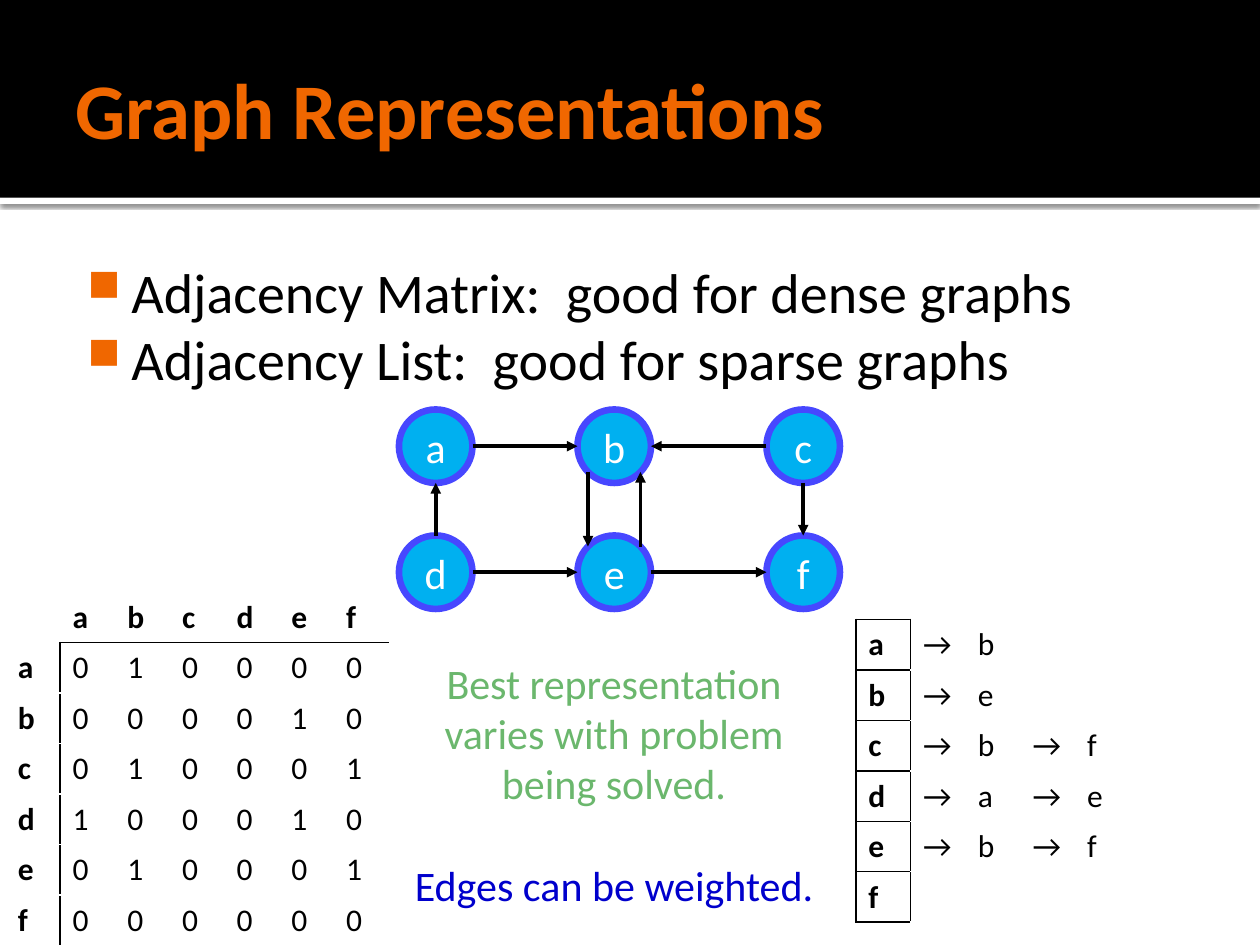
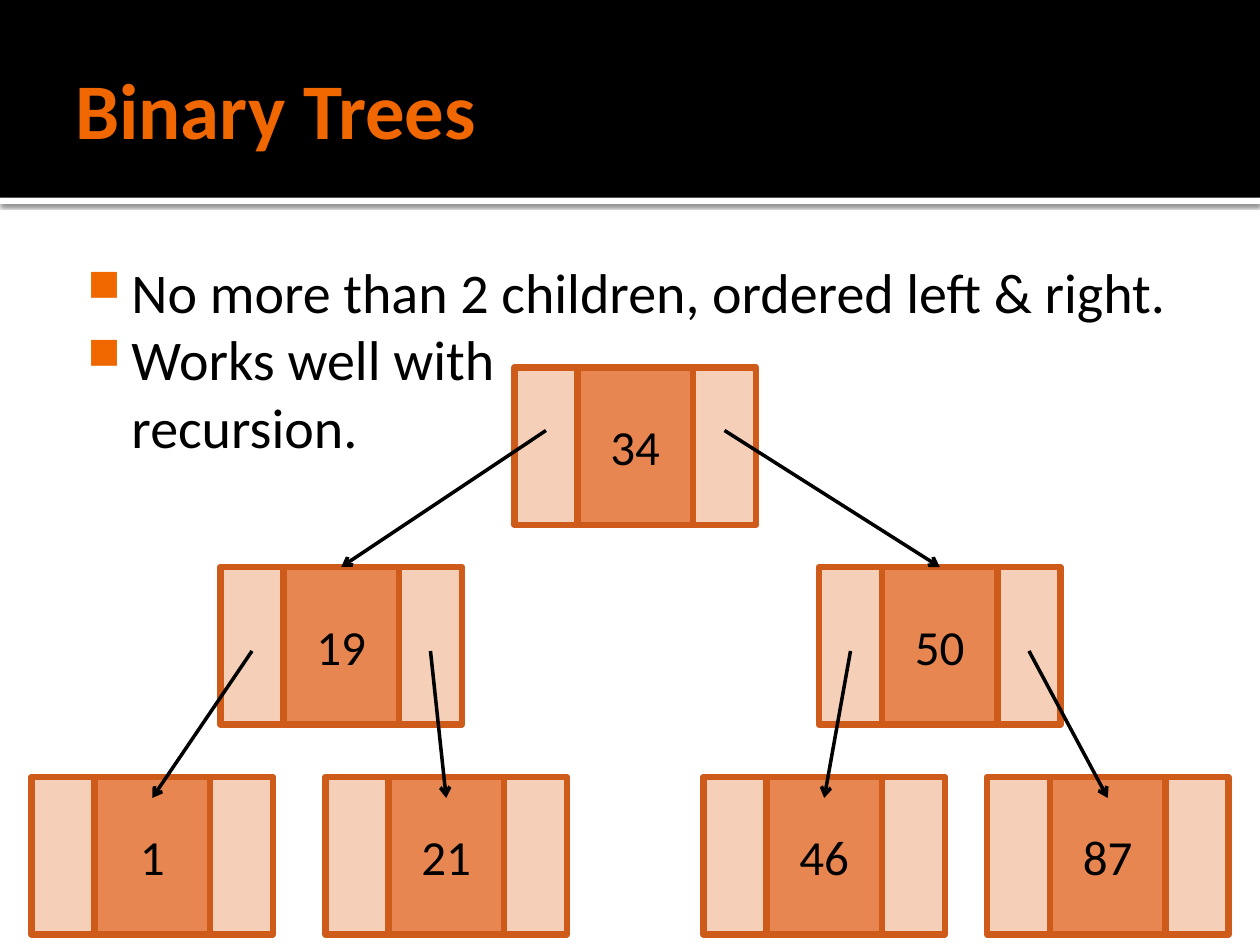
"""Build two slides on graph representations and binary trees."""
from dataclasses import dataclass
from math import sqrt
from typing import Callable

from lxml import etree
from pptx import Presentation
from pptx.dml.color import RGBColor
from pptx.enum.shapes import MSO_CONNECTOR, MSO_SHAPE
from pptx.enum.text import MSO_ANCHOR, PP_ALIGN
from pptx.oxml.ns import qn
from pptx.util import Pt

RECTANGLE, OVAL = MSO_SHAPE.RECTANGLE, MSO_SHAPE.OVAL
STRAIGHT = MSO_CONNECTOR.STRAIGHT
MIDDLE, CENTER = MSO_ANCHOR.MIDDLE, PP_ALIGN.CENTER

FONT = "Calibri"
BLACK, WHITE, ORANGE = "000000", "FFFFFF", "F06700"
SKY, INDIGO = "00B0F0", "4747FF"
GREEN, BLUE = "6BB76D", "0000CC"
TREE_LINE, TREE_VALUE, TREE_LINK = "CF5B1B", "E88651", "F6CFB9"
OUTLINE_WIDTH, ARROW_WIDTH = 3.78, 2

SLIDE_WIDTH, SLIDE_HEIGHT = 720, 540
BAND_HEIGHT, STRIP_HEIGHT = 113, 3.6
DIAMETER = 42
COLUMN_WIDTH, ROW_HEIGHT, COLUMN_COUNT = 31.28, 27.4, 7
VALUE_WIDTH, LINK_WIDTH, NODE_HEIGHT = 66, 36, 90
BORDER_TAGS = {"left": "lnL", "right": "lnR", "top": "lnT", "bottom": "lnB"}


@dataclass(frozen=True)
class Vertex:
    """A graph vertex, placed by its top left corner."""
    x: float
    y: float


@dataclass(frozen=True)
class Edge:
    """A directed edge, moved sideways by shift when it runs in a pair."""
    start: str
    end: str
    shift: float = 0


@dataclass(frozen=True)
class TreeNode:
    """A tree node, placed by the top left corner of its value cell."""
    value: str
    x: float
    y: float


@dataclass(frozen=True)
class Branch:
    """A parent with two children and the depths where its arrows start and end."""
    parent: str
    left: str
    right: str
    start_depth: float
    end_depth: float


VERTICES = {
    name: Vertex(x, y)
    for names, y in (("abc", 234), ("def", 306))
    for name, x in zip(names, (228, 330, 438))
}
EDGES = [
    Edge("a", "b"), Edge("c", "b"), Edge("d", "a"), Edge("c", "f"),
    Edge("d", "e"), Edge("e", "f"), Edge("e", "b", 15), Edge("b", "e", -15),
]
TREE_NODES = [
    TreeNode("34", 330, 210), TreeNode("19", 162, 324), TreeNode("50", 504, 324),
    TreeNode("1", 54, 444), TreeNode("21", 222, 444),
    TreeNode("46", 438, 444), TreeNode("87", 600, 444),
]
BRANCHES = [
    Branch("34", "19", "50", 36, 0),
    Branch("19", "1", "21", 48, 12),
    Branch("50", "46", "87", 48, 12),
]


def color(value: str) -> RGBColor:
    """Turn a hex string into a colour."""
    return RGBColor.from_string(value)


def add_xml(parent, tag: str, **attributes: str):
    """Append a DrawingML element and return it."""
    return etree.SubElement(parent, qn(f"a:{tag}"), attributes)


def format_paragraph(para, size: float, hue: str, bold: bool = False) -> None:
    """Give every run of a paragraph the same look."""
    for span in para.runs:
        span.font.name = FONT
        span.font.size = Pt(size)
        span.font.bold = bold
        span.font.color.rgb = color(hue)


def add_box(shapes, kind, x: float, y: float, width: float, height: float,
            fill: str, outline: str | None = None):
    """Add a filled shape without a shadow."""
    box = shapes.add_shape(kind, Pt(x), Pt(y), Pt(width), Pt(height))
    box.shadow.inherit = False
    box.fill.solid()
    box.fill.fore_color.rgb = color(fill)
    if outline:
        box.line.color.rgb = color(outline)
        box.line.width = Pt(OUTLINE_WIDTH)
    else:
        box.line.fill.background()
    return box


def label_box(box, text: str, size: float, hue: str) -> None:
    """Centre a label inside a shape."""
    frame = box.text_frame
    frame.text = text
    frame.word_wrap = False
    frame.vertical_anchor = MIDDLE
    frame.paragraphs[0].alignment = CENTER
    format_paragraph(frame.paragraphs[0], size, hue)


def add_text_frame(page, x: float, y: float, width: float, height: float,
                   margins: tuple[float, float, float, float]):
    """Add a wrapping text box and return its frame."""
    frame = page.shapes.add_textbox(Pt(x), Pt(y), Pt(width), Pt(height)).text_frame
    frame.word_wrap = True
    (frame.margin_left, frame.margin_top,
     frame.margin_right, frame.margin_bottom) = map(Pt, margins)
    return frame


def add_arrow(page, x1: float, y1: float, x2: float, y2: float, head: str):
    """Draw a straight arrow that points to its second end."""
    arrow = page.shapes.add_connector(STRAIGHT, Pt(x1), Pt(y1), Pt(x2), Pt(y2))
    arrow.line.color.rgb = color(BLACK)
    arrow.line.width = Pt(ARROW_WIDTH)
    add_xml(arrow.line._get_or_add_ln(), "tailEnd", type=head)
    add_xml(arrow._element.spPr, "effectLst")
    return arrow


def add_page(deck, title: str, bullets: list[str]):
    """Add a page with the black band, its title and the bullet list."""
    page = deck.slides.add_slide(deck.slide_layouts[6])
    strip = add_box(page.shapes, RECTANGLE, 0, BAND_HEIGHT, SLIDE_WIDTH, STRIP_HEIGHT, WHITE)
    effects = strip._element.spPr.find(qn("a:effectLst"))
    shadow = add_xml(effects, "outerShdw", blurRad=str(Pt(2.5)), dist=str(Pt(0.8)),
                     dir="5400000", algn="tl", rotWithShape="0")
    add_xml(add_xml(shadow, "srgbClr", val=BLACK), "alpha", val="60000")
    add_box(page.shapes, RECTANGLE, 0, 0, SLIDE_WIDTH, BAND_HEIGHT, BLACK)

    heading = add_text_frame(page, 36, 12, 648, 99, (7.2, 3.6, 3.6, 3.6))
    heading.text = title
    heading.vertical_anchor = MIDDLE
    format_paragraph(heading.paragraphs[0], 45, ORANGE, True)

    body = add_text_frame(page, 36, 140, 648, 364, (4.6, 7.2, 7.2, 3.6))
    for index, text in enumerate(bullets):
        para = body.add_paragraph() if index else body.paragraphs[0]
        para.text = text
        properties = para._p.get_or_add_pPr()
        properties.set("marL", str(Pt(34.56)))
        properties.set("indent", str(Pt(-25.2)))
        add_xml(add_xml(properties, "buClr"), "srgbClr", val=ORANGE)
        add_xml(properties, "buSzPct", val="80000")
        add_xml(properties, "buChar", char="■")
        format_paragraph(para, 32, BLACK)
    return page


def set_borders(cell, black_sides: set[str]) -> None:
    """Draw the named sides of a cell in black and the others in white."""
    properties = cell._tc.get_or_add_tcPr()
    for index, (side, tag) in enumerate(BORDER_TAGS.items()):
        border = add_xml(properties, tag, w=str(Pt(1)))
        fill = add_xml(border, "solidFill")
        add_xml(fill, "srgbClr", val=BLACK if side in black_sides else WHITE)
        properties.insert(index, border)


def add_grid(page, x: float, y: float, rows: list[list[str]],
             black_sides: Callable[[int, int], set[str]]) -> None:
    """Add an unfilled table with bold headings in its first row and column."""
    table = page.shapes.add_table(
        len(rows), COLUMN_COUNT, Pt(x), Pt(y),
        Pt(COLUMN_WIDTH * COLUMN_COUNT), Pt(ROW_HEIGHT * len(rows))).table
    table.first_row = table.horz_banding = False
    for column in table.columns:
        column.width = Pt(COLUMN_WIDTH)
    for row, texts in enumerate(rows):
        table.rows[row].height = Pt(ROW_HEIGHT)
        for column in range(COLUMN_COUNT):
            cell = table.cell(row, column)
            cell.fill.background()
            set_borders(cell, black_sides(row, column))
            if column < len(texts) and texts[column]:
                cell.text_frame.text = texts[column]
                is_heading = column == 0 or not texts[0]
                format_paragraph(cell.text_frame.paragraphs[0], 18, BLACK, is_heading)


def matrix_sides(row: int, column: int) -> set[str]:
    """Name the black sides that part the headings from the matrix."""
    sides = set()
    if row and column < 2:
        sides.add("left" if column else "right")
    if column and row < 2:
        sides.add("top" if row else "bottom")
    return sides


def list_sides(row: int, column: int) -> set[str]:
    """Name the black sides that frame the first column."""
    return set(BORDER_TAGS) if column == 0 else {"left"} if column == 1 else set()


def add_edge(page, edge: Edge) -> None:
    """Draw an edge between the facing rims of two vertices."""
    start, end = VERTICES[edge.start], VERTICES[edge.end]
    radius = DIAMETER / 2
    reach = sqrt(radius ** 2 - edge.shift ** 2)
    x1, y1, x2, y2 = (value + radius for value in (start.x, start.y, end.x, end.y))
    if start.y == end.y:
        step = reach if x2 > x1 else -reach
        add_arrow(page, x1 + step, y1, x2 - step, y2, "triangle")
    else:
        step = reach if y2 > y1 else -reach
        add_arrow(page, x1 + edge.shift, y1 + step, x2 + edge.shift, y2 - step, "triangle")


def build_graph_page(deck) -> None:
    """Build the page with a graph, its matrix and its list."""
    page = add_page(deck, "Graph Representations", [
        "Adjacency Matrix:  good for dense graphs",
        "Adjacency List:  good for sparse graphs",
    ])
    for name, vertex in VERTICES.items():
        circle = add_box(page.shapes, OVAL, vertex.x, vertex.y, DIAMETER, DIAMETER, SKY, INDIGO)
        label_box(circle, name, 24, WHITE)
    for edge in EDGES:
        add_edge(page, edge)

    neighbors = {name: sorted(edge.end for edge in EDGES if edge.start == name)
                 for name in VERTICES}
    matrix = [["", *VERTICES]]
    adjacency_list = []
    for name, ends in neighbors.items():
        matrix.append([name, *("1" if other in ends else "0" for other in VERTICES)])
        adjacency_list.append([name, *(text for end in ends for text in ("→", end))])
    add_grid(page, 3, 338.4, matrix, matrix_sides)
    add_grid(page, 489, 354, adjacency_list, list_sides)

    remarks = add_text_frame(page, 225.4, 372, 251, 153, (7.2, 3.6, 7.2, 3.6))
    remarks.word_wrap = False
    advice, weights = remarks.paragraphs[0], remarks.add_paragraph()
    advice.text = "Best representation\nvaries with problem\nbeing solved."
    weights.text = "Edges can be weighted."
    weights.space_before = Pt(29.3)
    for para, hue in ((advice, GREEN), (weights, BLUE)):
        para.alignment = CENTER
        format_paragraph(para, 24, hue)


def add_tree_node(page, node: TreeNode):
    """Draw a node as a group and return its value cell."""
    shapes = page.shapes.add_group_shape().shapes
    value = add_box(shapes, RECTANGLE, node.x, node.y, VALUE_WIDTH, NODE_HEIGHT,
                    TREE_VALUE, TREE_LINE)
    label_box(value, node.value, 28, BLACK)
    for x in (node.x + VALUE_WIDTH, node.x - LINK_WIDTH):
        add_box(shapes, RECTANGLE, x, node.y, LINK_WIDTH, NODE_HEIGHT, TREE_LINK, TREE_LINE)
    return value


def build_tree_page(deck) -> None:
    """Build the page with a binary tree."""
    page = add_page(deck, "Binary Trees", [
        "No more than 2 children, ordered left & right.",
        "Works well with\nrecursion.",
    ])
    nodes = {node.value: node for node in TREE_NODES}
    cells = {node.value: add_tree_node(page, node) for node in TREE_NODES}
    for branch in BRANCHES:
        parent = nodes[branch.parent]
        for child, offset in ((branch.left, -LINK_WIDTH / 2),
                              (branch.right, VALUE_WIDTH + LINK_WIDTH / 2)):
            target = nodes[child]
            arrow = add_arrow(page, parent.x + offset, parent.y + branch.start_depth,
                              target.x + VALUE_WIDTH / 2, target.y + branch.end_depth, "arrow")
            if branch.end_depth == 0:
                arrow.end_connect(cells[child], 0)


def main() -> None:
    """Build and save the deck."""
    deck = Presentation()
    deck.slide_width, deck.slide_height = Pt(SLIDE_WIDTH), Pt(SLIDE_HEIGHT)
    build_graph_page(deck)
    build_tree_page(deck)
    deck.save("out.pptx")


if __name__ == "__main__":
    main()
